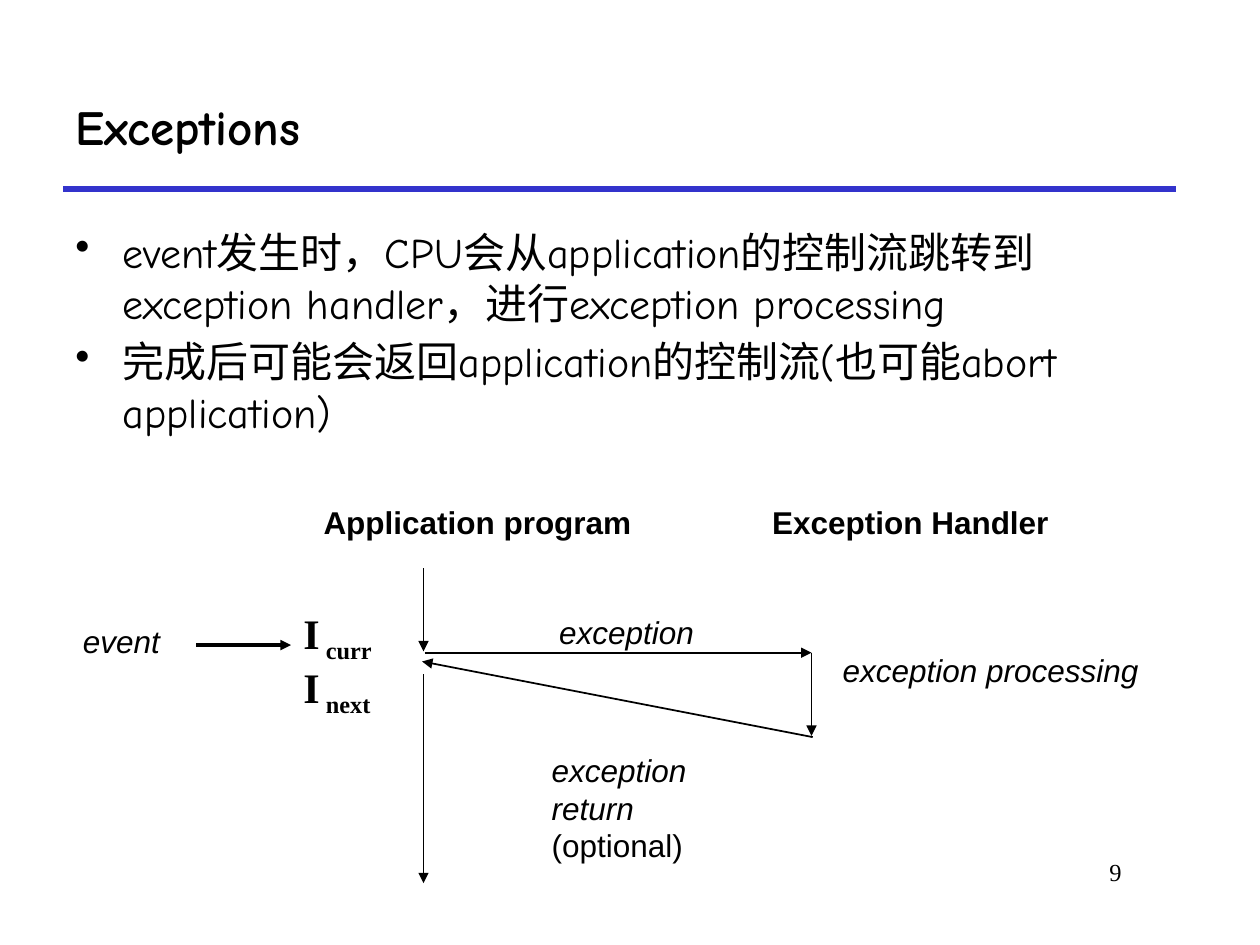
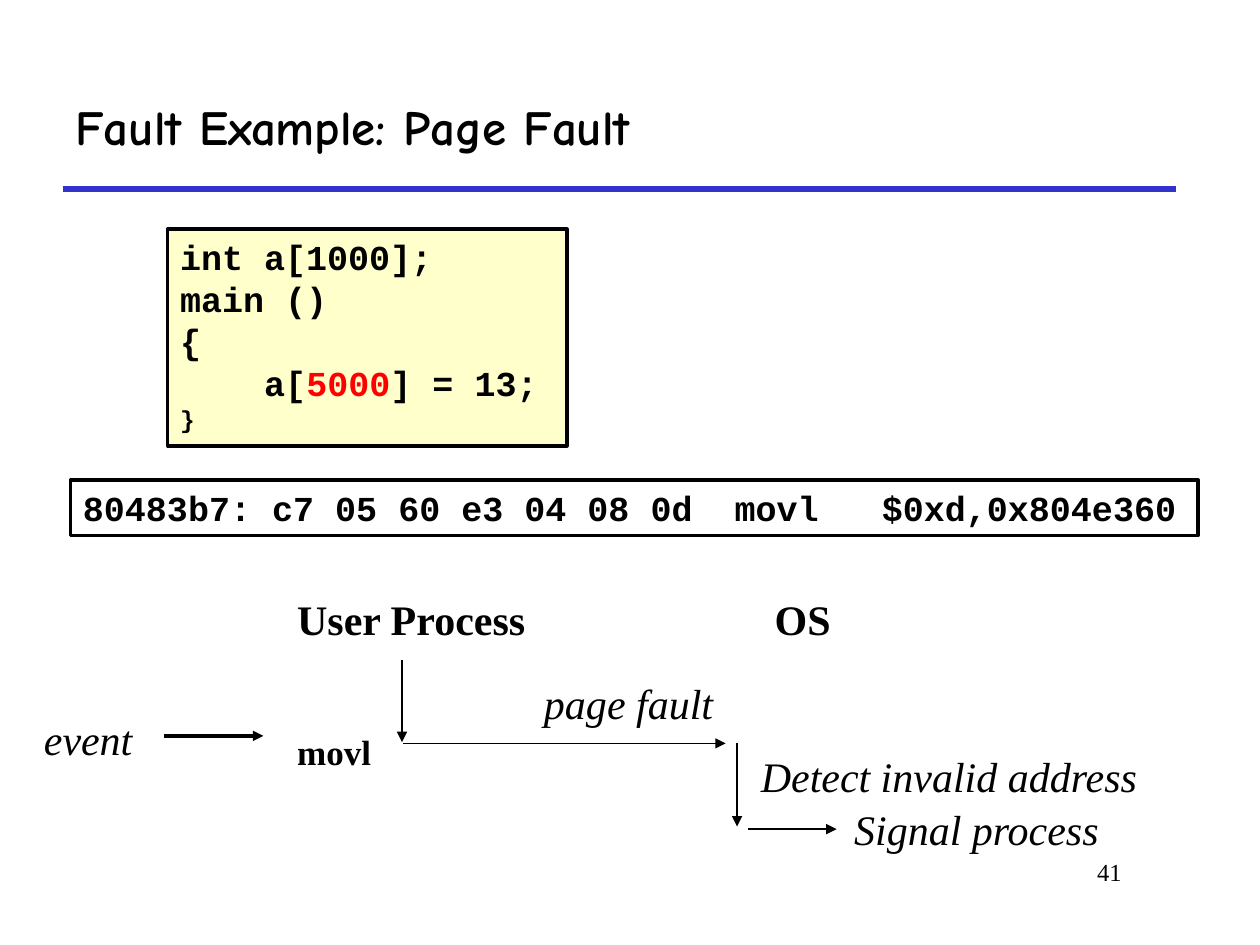
from dataclasses import dataclass

from lxml import etree
from pptx import Presentation
from pptx.dml.color import RGBColor
from pptx.enum.shapes import MSO_CONNECTOR, MSO_SHAPE
from pptx.enum.text import MSO_ANCHOR, PP_ALIGN
from pptx.oxml.ns import qn
from pptx.util import Pt

STRAIGHT = MSO_CONNECTOR.STRAIGHT
RECT = MSO_SHAPE.RECTANGLE
TOP, MIDDLE = MSO_ANCHOR.TOP, MSO_ANCHOR.MIDDLE
LEFT, RIGHT = PP_ALIGN.LEFT, PP_ALIGN.RIGHT

BLACK, WHITE, BLUE, CREAM, RED = "000000", "FFFFFF", "3333CC", "FFFFCC", "FF0000"
HAND, SANS, SERIF, MONO = "Comic Neue", "Arial", "Times New Roman", "Courier New"

TITLE = {"name": HAND, "size": Pt(28), "bold": True}
BODY = {"name": HAND, "size": Pt(24)}
PAGE = {"name": SERIF, "size": Pt(14)}
HEAD = {"name": SANS, "size": Pt(18), "bold": True}
NOTE = {"name": SANS, "size": Pt(18), "italic": True}
STEP = {"name": SERIF, "size": Pt(24), "bold": True}
SMALL = STEP | {"size": Pt(20)}
PHASE = {"name": SERIF, "size": Pt(24), "italic": True}
CODE = {"name": MONO, "size": Pt(20), "bold": True}


@dataclass(frozen=True)
class Run:
    text: str
    look: dict | None = None
    color: str = BLACK
    base: int = 0


Lines = list[list[Run]]


@dataclass(frozen=True)
class Label:
    at: tuple[float, float, float, float]
    look: dict
    lines: Lines
    wrap: bool = False
    anchor: MSO_ANCHOR = TOP
    align: PP_ALIGN = LEFT
    bullet: bool = False
    fill: str = ""


@dataclass(frozen=True)
class Arrow:
    start: tuple[float, float]
    end: tuple[float, float]
    width: float = 1


def tint(color: str) -> RGBColor:
    return RGBColor.from_string(color)


def one(text: str) -> Lines:
    """Wrap plain text as a single line with a single run."""
    return [[Run(text)]]


def add_bullet(para) -> None:
    props = para._p.get_or_add_pPr()
    props.set("marL", str(Pt(27)))
    props.set("indent", str(Pt(-27)))
    etree.SubElement(props, qn("a:buChar")).set("char", "•")


def add_run(para, run: Run, look: dict) -> None:
    piece = para.add_run()
    piece.text = run.text
    for key, value in (run.look or look).items():
        setattr(piece.font, key, value)
    piece.font.color.rgb = tint(run.color)
    if run.base:
        piece._r.get_or_add_rPr().set("baseline", str(run.base * 1000))


def add_label(slide, label: Label) -> None:
    """Draw text, in a framed box when the label has a fill."""
    box = [Pt(n) for n in label.at]
    if label.fill:
        shape = slide.shapes.add_shape(RECT, *box)
        shape.shadow.inherit = False
        shape.fill.solid()
        shape.fill.fore_color.rgb = tint(label.fill)
        shape.line.color.rgb = tint(BLACK)
        shape.line.width = Pt(2)
    else:
        shape = slide.shapes.add_textbox(*box)
    frame = shape.text_frame
    frame.word_wrap = label.wrap
    frame.vertical_anchor = label.anchor
    for i, line in enumerate(label.lines):
        para = frame.add_paragraph() if i else frame.paragraphs[0]
        para.alignment = label.align
        if label.bullet:
            para.space_before = Pt(4.8 if i else 0)
            add_bullet(para)
        for run in line:
            add_run(para, run, label.look)


def add_line(slide, arrow: Arrow, color: str = BLACK, tip: bool = True) -> None:
    ends = [Pt(n) for n in (*arrow.start, *arrow.end)]
    link = slide.shapes.add_connector(STRAIGHT, *ends)
    link.line.color.rgb = tint(color)
    link.line.width = Pt(arrow.width)
    if tip:
        stroke = link.line._get_or_add_ln()
        etree.SubElement(stroke, qn("a:tailEnd")).set("type", "triangle")
    etree.SubElement(link._element.spPr, qn("a:effectLst"))


def add_slide(deck, title: str, page: int, labels: list[Label],
              arrows: list[Arrow]) -> None:
    slide = deck.slides.add_slide(deck.slide_layouts[6])
    add_line(slide, Arrow((36, 108), (672, 108), 3), BLUE, tip=False)
    shared = [
        Label((546, 486, 102, 36), PAGE, one(str(page)), True, align=RIGHT),
        Label((36, 36, 636, 72), TITLE, one(title), True, MIDDLE),
    ]
    for label in shared + labels:
        add_label(slide, label)
    for arrow in arrows:
        add_line(slide, arrow)


FLOW_TEXT = [
    Label((36, 126, 642, 120), BODY, [
        [Run("event发生时，CPU会从application的控制流跳转到"
             "exception handler，进行exception processing")],
        [Run("完成后可能会返回application的控制流(也可能abort application)")],
    ], wrap=True, bullet=True),
    Label((177.8, 283.7, 190.8, 28.8), HEAD, one("Application program")),
    Label((434.2, 283.7, 172.8, 28.8), HEAD, one("Exception Handler")),
    Label((312.5, 347, 91.4, 28.8), NOTE, one("exception")),
    Label((474.5, 368.6, 198.7, 28.1), NOTE, one("exception processing")),
    Label((308.2, 425.5, 141.1, 50.4), NOTE, [
        [Run("exception")],
        [Run("return "), Run("(optional)", NOTE | {"italic": False})],
    ]),
    Label((40.3, 352.1, 63.4, 28.8), NOTE, one("event")),
    *(Label((166.3, top, 58.3, 36.7), STEP, [[Run("I"), Run(sub, base=-25)]])
      for top, sub in ((343.4, " curr"), (374.4, " next"))),
]
FLOW_LINES = [
    Arrow((242, 324.7), (242, 372.2)),
    Arrow((242.6, 373), (463.7, 373)),
    Arrow((463.7, 373), (463.7, 420.5)),
    Arrow((464.4, 421.2), (241.2, 378)),
    Arrow((242, 385.2), (242, 504.7)),
    Arrow((112.3, 368.6), (166.3, 368.6), 2),
]

FAULT_TEXT = [
    Label((162.7, 335.5, 153.4, 36), STEP, one("User Process")),
    Label((435.6, 335.5, 49, 36), STEP, one("OS")),
    Label((303.8, 383.8, 117.4, 36), PHASE, one("page fault")),
    Label((427.7, 425.5, 241.9, 36), PHASE, one("Detect invalid address")),
    Label((18, 403.9, 66.2, 36), PHASE, one("event")),
    Label((162.7, 414, 59.8, 31.7), SMALL, one("movl")),
    Label((481, 455.8, 208.8, 36), PHASE, one("Signal process")),
    Label((95.8, 131, 228.2, 123.8), CODE, [
        [Run("int a[1000];")],
        [Run("main ()")],
        [Run("{")],
        [Run("    a["), Run("5000", color=RED), Run("] = 13;")],
        [Run("}", CODE | {"size": Pt(14)})],
    ], wrap=True, fill=CREAM),
    Label((40.3, 274.3, 644.4, 31.7), CODE,
          one("80483b7: c7 05 60 e3 04 08 0d  movl   $0xd,0x804e360"),
          fill=WHITE),
]
FAULT_LINES = [
    Arrow((229.7, 377.3), (229.7, 424.1)),
    Arrow((230.4, 424.8), (414.7, 424.8)),
    Arrow((421.2, 424.8), (421.2, 472.3)),
    Arrow((427.7, 473.8), (478.1, 473.8)),
    Arrow((93.6, 420.5), (150.5, 420.5), 2),
]


def main() -> None:
    deck = Presentation()
    deck.slide_width, deck.slide_height = Pt(720), Pt(540)
    add_slide(deck, "Exceptions", 9, FLOW_TEXT, FLOW_LINES)
    add_slide(deck, "Fault Example: Page Fault", 41, FAULT_TEXT, FAULT_LINES)
    deck.save("out.pptx")


if __name__ == "__main__":
    main()
